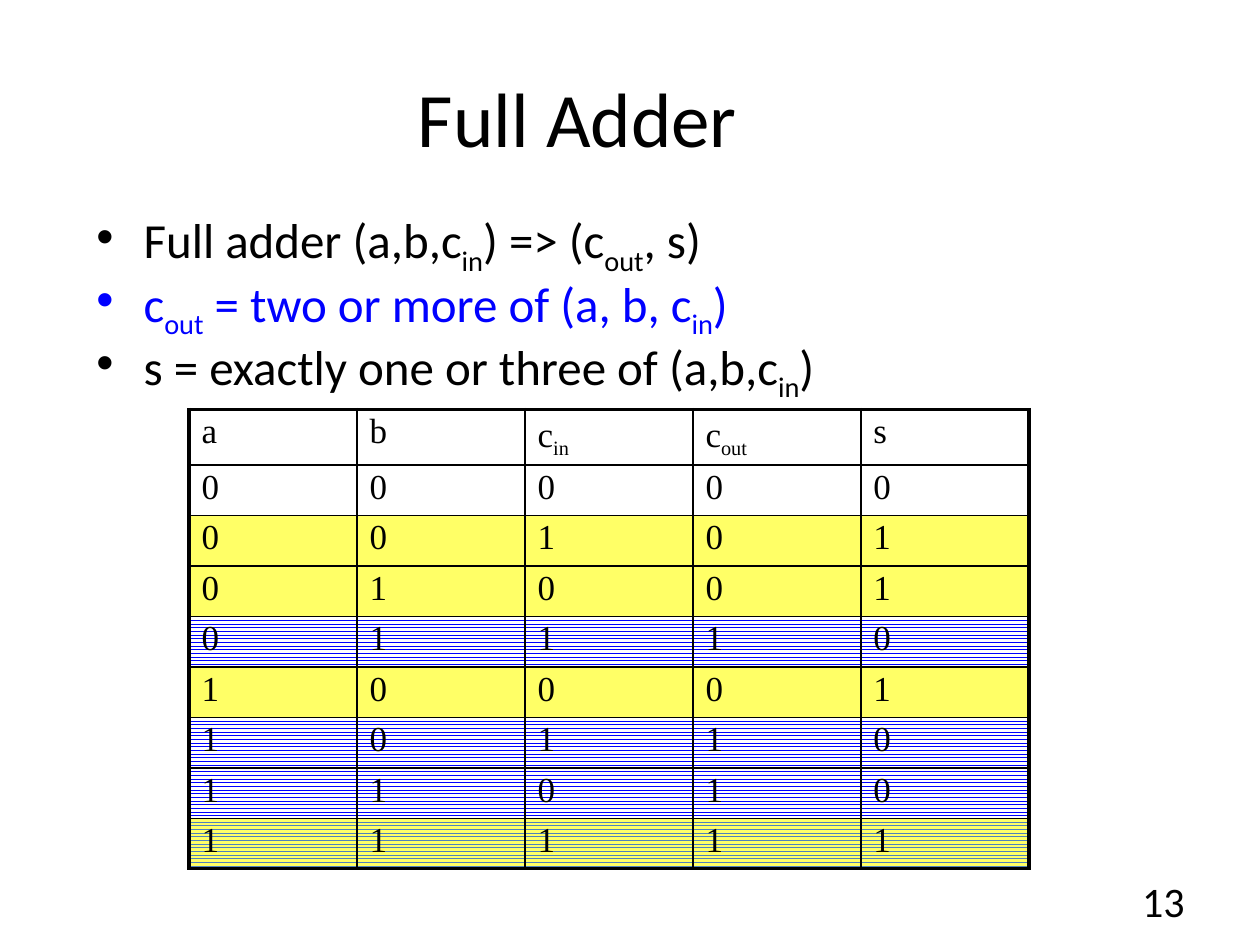
import itertools

import lxml.etree
import pptx
import pptx.dml.color
import pptx.enum.dml
import pptx.enum.text
import pptx.oxml.ns
import pptx.util

Pt = pptx.util.Pt
qn = pptx.oxml.ns.qn
Align = pptx.enum.text.PP_ALIGN
Anchor = pptx.enum.text.MSO_ANCHOR

HEX = {"ink": "000000", "blue": "0000FF", "sun": "FFFF66",
       "steel": "4F81BD", "white": "FFFFFF"}

TITLE = {"size": Pt(44), "name": "Calibri"}
BODY = {"size": Pt(28), "name": "Calibri"}
CELL = {"size": Pt(20), "name": "Times New Roman"}
PAGE = {"size": Pt(24), "name": "Calibri"}

# Text between bars is set as a subscript
POINTS = [
    ("Full adder (a,b,c|in|) => (c|out|, s)", "ink"),
    ("c|out| = two or more of (a, b, c|in|)", "blue"),
    ("s = exactly one or three of (a,b,c|in|)", "ink"),
]
HEADS = ["a", "b", "c|in|", "c|out|", "s"]


def tint(key):
    return pptx.dml.color.RGBColor.from_string(HEX[key])


def apply(item, values):
    for key, value in values.items():
        setattr(item, key, value)


def write(para, text, font, color="ink"):
    for i, part in enumerate(text.split("|")):
        if not part:
            continue
        run = para.add_run()
        run.text = part
        apply(run.font, font)
        run.font.color.rgb = tint(color)
        if i % 2:
            run.font._element.set("baseline", "-25000")


def add_box(slide, box, anchor):
    frame = slide.shapes.add_textbox(*map(Pt, box)).text_frame
    apply(frame, {"word_wrap": True, "vertical_anchor": anchor})
    return frame


def add_line(slide, box, text, font, align):
    para = add_box(slide, box, Anchor.MIDDLE).paragraphs[0]
    para.alignment = align
    write(para, text, font)


def add_points(slide, box):
    frame = add_box(slide, box, Anchor.TOP)
    for i, (text, color) in enumerate(POINTS):
        para = frame.add_paragraph() if i else frame.paragraphs[0]
        apply(para, {"line_spacing": 0.8, "space_before": Pt(5.6 if i else 0)})
        props = para._p.get_or_add_pPr()
        props.set("marL", str(Pt(27)))
        props.set("indent", str(-Pt(27)))
        lxml.etree.SubElement(props, qn("a:buFont"), typeface="Arial")
        lxml.etree.SubElement(props, qn("a:buChar"), char="•")
        write(para, text, BODY, color)


def paint(cell, carry, total):
    fill = cell.fill
    if carry:
        fill.patterned()
        fill.pattern = pptx.enum.dml.MSO_PATTERN.ZIG_ZAG
        fill.fore_color.rgb = tint("steel" if total else "blue")
        fill.back_color.rgb = tint("sun" if total else "white")
    elif total:
        fill.solid()
        fill.fore_color.rgb = tint("sun")
    else:
        fill.background()


def edge(cell, widths):
    props = cell._tc.get_or_add_tcPr()
    for i, (side, width) in enumerate(zip("LRTB", widths)):
        line = lxml.etree.Element(qn("a:ln" + side), w=str(Pt(width)))
        solid = lxml.etree.SubElement(line, qn("a:solidFill"))
        lxml.etree.SubElement(solid, qn("a:srgbClr"), val=HEX["ink"])
        props.insert(i, line)


def add_truth(slide, box):
    # Work out carry and sum for each input
    rows = [(HEADS, 0, 0)]
    for bits in itertools.product((0, 1), repeat=3):
        carry, total = divmod(sum(bits), 2)
        rows.append(([*bits, carry, total], carry, total))
    high, wide = len(rows), len(HEADS)
    table = slide.shapes.add_table(high, wide, *map(Pt, box)).table
    apply(table, {"first_row": False, "horz_banding": False})
    for r, (values, carry, total) in enumerate(rows):
        for c, value in enumerate(values):
            cell = table.cell(r, c)
            para = cell.text_frame.paragraphs[0]
            para.line_spacing = 0.9
            write(para, str(value), CELL)
            paint(cell, carry, total)
            # Thick lines on the outside only
            outer = (c == 0, c == wide - 1, r == 0, r == high - 1)
            edge(cell, [2.25 if side else 1 for side in outer])


def main():
    deck = pptx.Presentation()
    apply(deck, {"slide_width": Pt(720), "slide_height": Pt(540)})
    slide = deck.slides.add_slide(deck.slide_layouts[6])
    add_line(slide, (36, 21.6, 588, 90), "Full Adder", TITLE, Align.CENTER)
    add_points(slide, (48, 120, 612, 102))
    add_truth(slide, (108, 234, 480, 259.2))
    add_line(slide, (600, 500.4, 84, 28.8), "13", PAGE, Align.RIGHT)
    deck.save("out.pptx")


if __name__ == "__main__":
    main()
